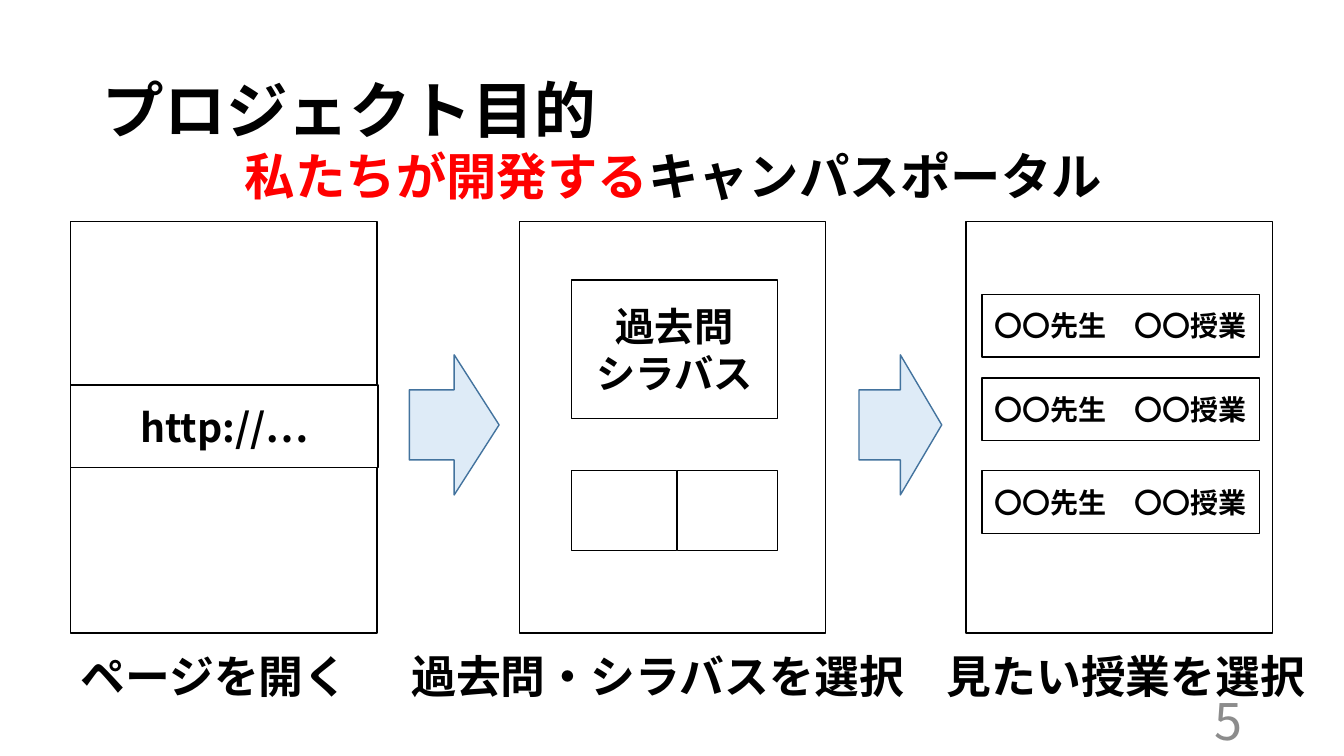
from lxml.etree import SubElement
from pptx import Presentation
from pptx.dml.color import RGBColor
from pptx.enum.shapes import MSO_SHAPE as Shape
from pptx.enum.text import MSO_ANCHOR as Anchor, PP_ALIGN as Align
from pptx.oxml.ns import qn
from pptx.util import Inches, Pt

FONT = "Noto Sans CJK JP"


def write(shape, lines, size, align=Align.LEFT, bold=True, anchor=Anchor.TOP, wrap=True):
    frame = shape.text_frame
    frame.word_wrap = wrap
    frame.vertical_anchor = anchor
    for number, runs in enumerate(lines):
        paragraph = frame.add_paragraph() if number else frame.paragraphs[0]
        paragraph.alignment = align
        for text, color in runs:
            run = paragraph.add_run()
            run.text = text
            for name, value in {"name": FONT, "size": Pt(size), "bold": bold}.items():
                setattr(run.font, name, value)
            run.font.color.rgb = RGBColor.from_string(color)
            SubElement(run.font._element, qn("a:ea")).set("typeface", FONT)


def draw(shapes, kind, box, fill="FFFFFF", line="000000"):
    shape = shapes.add_shape(kind, *map(Inches, box))
    shape.shadow.inherit = False
    shape.fill.solid()
    shape.fill.fore_color.rgb = RGBColor.from_string(fill)
    shape.line.color.rgb = RGBColor.from_string(line)
    shape.line.width = Pt(1)
    return shape


presentation = Presentation()
presentation.slide_width = Inches(13.33)
presentation.slide_height = Inches(7.5)
slide = presentation.slides.add_slide(presentation.slide_layouts[5])

title = slide.shapes.title
title_place = {"left": 0.92, "top": 0.4, "width": 11.5, "height": 1.45}
for name, value in title_place.items():
    setattr(title, name, Inches(value))
write(title, [[("プロジェクト目的", "000000")]], 44, anchor=Anchor.MIDDLE)
title.text_frame.paragraphs[0].line_spacing = 0.9

screens = []
for left in (0.7, 5.15, 9.58):
    group = slide.shapes.add_group_shape()
    draw(group.shapes, Shape.RECTANGLE, (left, 2.2, 3.04, 4.08))
    screens.append(group.shapes)
page_screen, menu_screen, class_screen = screens

boxes = [
    (page_screen, (0.7, 3.82, 3.05, 0.82), ["http://…"], 28),
    (menu_screen, (5.67, 2.78, 2.04, 1.37), ["過去問", "シラバス"], 28),
    (menu_screen, (5.67, 4.67, 1.04, 0.79), [], 28),
    (menu_screen, (6.72, 4.67, 0.99, 0.79), [], 28),
]
for top in (2.92, 3.75, 4.67):
    boxes.append((class_screen, (9.74, top, 2.75, 0.62), ["〇〇先生　〇〇授業"], 20))
for shapes, box, lines, size in boxes:
    shape = draw(shapes, Shape.RECTANGLE, box)
    write(shape, [[(line, "000000")] for line in lines], size, Align.CENTER, anchor=Anchor.MIDDLE)

for left, width in ((4.06, 0.89), (8.52, 0.82)):
    draw(slide.shapes, Shape.RIGHT_ARROW, (left, 3.52, width, 1.39), "DEEBF7", "43739E")

captions = [
    (0.7, 2.89, "ページを開く"),
    (3.98, 5.21, "過去問・シラバスを選択"),
    (9.29, 3.9, "見たい授業を選択"),
]
for left, width, text in captions:
    caption = slide.shapes.add_textbox(*map(Inches, (left, 6.39, width, 0.64)))
    write(caption, [[(text, "000000")]], 32)

headline = slide.shapes.add_textbox(*map(Inches, (2.33, 1.39, 8.78, 0.71)))
headline_runs = [("私たちが開発する", "FF0000"), ("キャンパスポータル", "000000")]
write(headline, [headline_runs], 36, wrap=False)

page_number = slide.shapes.add_textbox(*map(Inches, (9.42, 6.95, 3, 0.4)))
write(page_number, [[("5", "8C8C8C")]], 36, Align.RIGHT, bold=False, anchor=Anchor.MIDDLE)

presentation.save("out.pptx")
